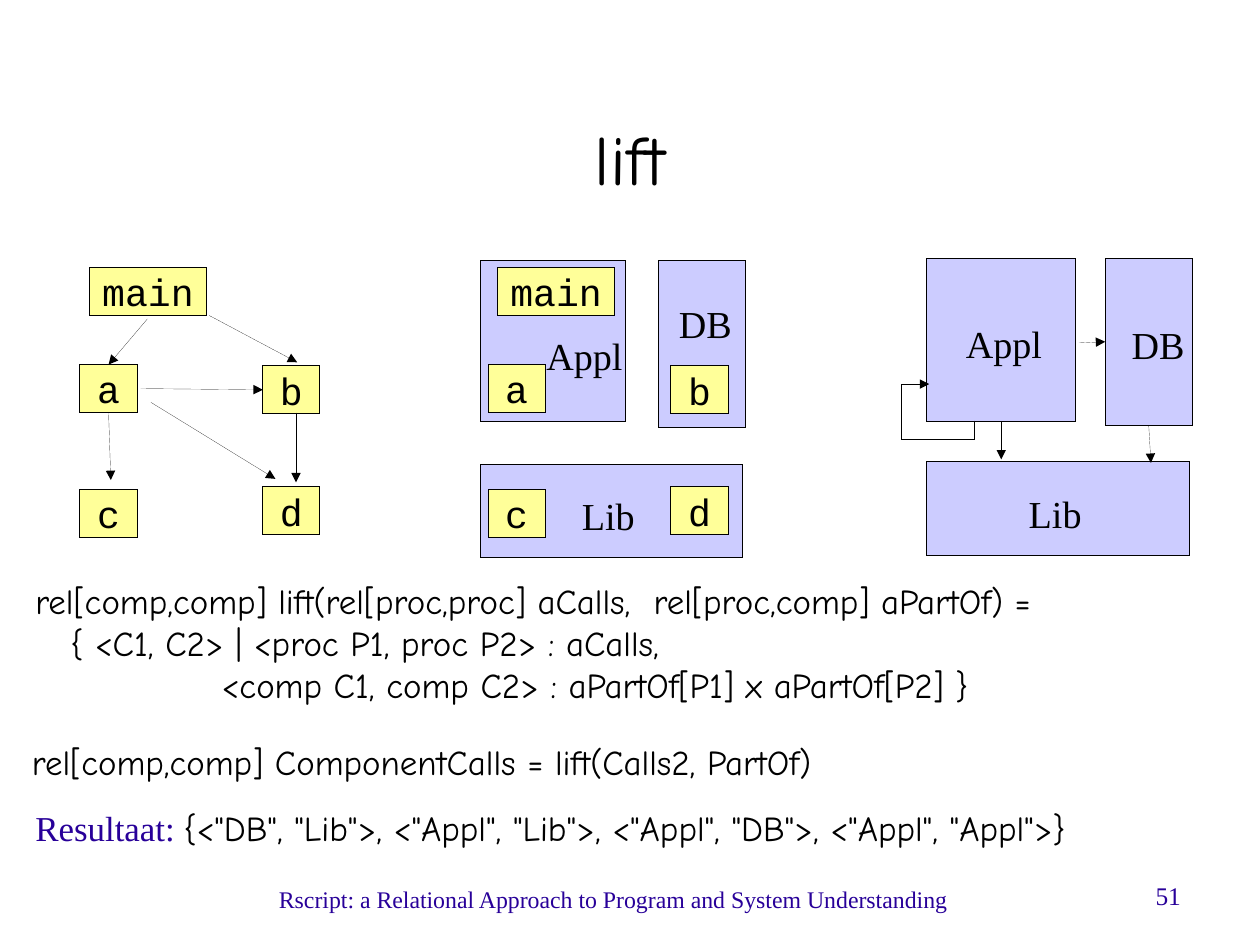
from dataclasses import dataclass
from typing import Optional

from pptx import Presentation
from pptx.dml.color import RGBColor
from pptx.enum.shapes import MSO_CONNECTOR, MSO_SHAPE
from pptx.enum.text import MSO_ANCHOR as Anchor, PP_ALIGN as Align
from pptx.oxml.ns import qn
from pptx.oxml.xmlchemy import OxmlElement
from pptx.util import Cm, Inches, Pt

# Lengths are columns and rows of a square grid, ten cells to the inch
CELL = 0.1
SLIDE_WIDTH, SLIDE_HEIGHT = Cm(28), Cm(21)
COLOURS = {"ink": "000000", "accent": "280099", "procedure": "FFFF99", "component": "CCCCFF"}
SANS, MONO, SERIF = "Comic Neue", "Courier New", "Times New Roman"
TOP, LEFT, BOTTOM = 0, 1, 2


@dataclass
class Run:
    text: str
    size: float
    font: str
    colour: str = "ink"


@dataclass
class Box:
    name: str
    column: float
    row: float
    width: float
    height: float


@dataclass
class Label:
    column: float
    row: float
    width: float
    height: float
    paragraphs: list[list[Run]]
    align: Align = Align.LEFT
    anchor: Anchor = Anchor.TOP


@dataclass
class Arrow:
    begin: tuple[float, float]
    end: tuple[float, float]
    begin_side: Optional[tuple[str, int]] = None
    end_side: Optional[tuple[str, int]] = None


def grid(cells: float) -> int:
    return Inches(cells * CELL)


def colour(name: str) -> RGBColor:
    return RGBColor.from_string(COLOURS[name])


def write(shape, paragraphs: list[list[Run]], align: Align, anchor: Anchor) -> None:
    frame = shape.text_frame
    frame.word_wrap = True
    frame.vertical_anchor = anchor
    frame.margin_left = frame.margin_right = frame.margin_top = frame.margin_bottom = 0
    for index, runs in enumerate(paragraphs):
        paragraph = frame.add_paragraph() if index else frame.paragraphs[0]
        paragraph.alignment = align
        for item in runs:
            run = paragraph.add_run()
            run.text = item.text
            run.font.size = Pt(item.size)
            run.font.name = item.font
            run.font.color.rgb = colour(item.colour)


def outline(shape, arrowhead: bool = False) -> None:
    # Without the theme style, a zero width gives a hairline
    shape._element.remove(shape._element.find(qn("p:style")))
    shape.line.color.rgb = colour("ink")
    shape.line.width = Pt(0)
    if arrowhead:
        tail = OxmlElement("a:tailEnd")
        tail.set("type", "triangle")
        shape._element.spPr.find(qn("a:ln")).append(tail)


def draw_label(slide, label: Label) -> None:
    shape = slide.shapes.add_textbox(*map(grid, (label.column, label.row, label.width, label.height)))
    write(shape, label.paragraphs, label.align, label.anchor)


def draw_boxes(slide, boxes: list[Box], left: float, top: float, fill: str, named: bool) -> dict:
    drawn = {}
    for box in boxes:
        place = map(grid, (left + box.column, top + box.row, box.width, box.height))
        shape = slide.shapes.add_shape(MSO_SHAPE.RECTANGLE, *place)
        shape.shadow.inherit = False
        shape.fill.solid()
        shape.fill.fore_color.rgb = colour(fill)
        outline(shape)
        if named:
            write(shape, [[Run(box.name, 24, MONO)]], Align.CENTER, Anchor.MIDDLE)
        drawn[box.name] = shape
    return drawn


def draw_arrows(slide, arrows: list[Arrow], boxes: dict) -> None:
    for arrow in arrows:
        connector = slide.shapes.add_connector(
            MSO_CONNECTOR.STRAIGHT, *map(grid, arrow.begin + arrow.end))
        outline(connector, arrowhead=True)
        connector._element.spPr.append(OxmlElement("a:effectLst"))
        if arrow.begin_side:
            name, side = arrow.begin_side
            connector.begin_connect(boxes[name], side)
        if arrow.end_side:
            name, side = arrow.end_side
            connector.end_connect(boxes[name], side)


def draw_loop(slide, points: list[tuple[float, float]]) -> None:
    corners = [(grid(column), grid(row)) for column, row in points]
    builder = slide.shapes.build_freeform(*corners[0])
    builder.add_line_segments(corners[1:], close=False)
    loop = builder.convert_to_shape()
    loop.shadow.inherit = False
    loop.fill.background()
    outline(loop, arrowhead=True)


def component_label(name: str, column: float, row: float) -> Label:
    return Label(column, row, 7.5, 4.6, [[Run(name, 24, SERIF)]])


# Boxes, placed relative to their panel
PROCEDURES = [
    Box("a", 0, 8.5, 5, 4.2),
    Box("b", 16, 8.6, 5, 4.2),
    Box("main", 0.8, 0, 10.3, 4.2),
    Box("c", 0, 19.4, 5, 4.2),
    Box("d", 16, 19.2, 5, 4.2),
]
COMPONENTS = [
    Box("DB", 15.6, 0, 7.6, 14.6),
    Box("Lib", 0, 17.8, 23, 8.2),
]
APPL_WITH_PARTS = Box("Appl", 0, 0, 12.7, 14.1)
APPL_LIFTED = Box("Appl", 0, 0, 13, 14.3)

# Arrows of the two call graphs
PROCEDURE_CALLS = [
    Arrow((9.7, 36.1), (9.7, 42), begin_side=("a", BOTTOM)),
    Arrow((25.9, 36.1), (25.9, 42.2)),
    Arrow((13.2, 35.2), (24.1, 41.9)),
    Arrow((12.9, 27.9), (9.5, 31.7), end_side=("a", TOP)),
    Arrow((12.3, 34), (22.9, 34), end_side=("b", LEFT)),
    Arrow((18.3, 27.6), (26, 31.7)),
]
COMPONENT_CALLS = [
    Arrow((87.5, 36.8), (87.6, 40.2), begin_side=("Appl", BOTTOM)),
    Arrow((100.7, 37.3), (100.7, 40.5), begin_side=("DB", BOTTOM)),
    Arrow((94.4, 30), (97, 30), end_side=("DB", LEFT)),
]
SELF_CALL = [(85.2, 36.8), (85.2, 38.4), (78.8, 38.4), (78.8, 33.6), (81.3, 33.6)]

COMPONENT_LABELS = [
    component_label(*place) for place in (
        ("Appl", 47.8, 29.1), ("DB", 59.4, 26.3), ("Lib", 50.9, 43.1),
        ("Appl", 84.5, 28), ("DB", 99, 28.1), ("Lib", 90, 42.9))
]
CODE = [
    "rel[comp,comp] lift(rel[proc,proc] aCalls,  rel[proc,comp] aPartOf) =",
    "   { <C1, C2> | <proc P1, proc P2> : aCalls,",
    "                <comp C1, comp C2> : aPartOf[P1] x aPartOf[P2] }",
]
TEXTS = [
    Label(101.1, 77, 9, 3.7, [[Run("51", 16, SERIF, "accent")]]),
    Label(24.4, 77.4, 62, 2.5, [[Run(
        "Rscript: a Relational Approach to Program and System Understanding", 15, SERIF, "accent")]]),
    Label(8.1, 6.9, 94.1, 13.8, [[Run("lift", 44, SANS)]], Align.CENTER, Anchor.MIDDLE),
    Label(3.1, 50.7, 106, 14.7, [[Run(line, 22, SANS)] for line in CODE]),
    Label(2.8, 64.8, 90.9, 4.3, [[Run(
        "rel[comp,comp] ComponentCalls = lift(Calls2, PartOf)", 22, SANS)]]),
    Label(3.1, 70.6, 105.9, 4.3, [[
        Run("Resultaat: ", 22, SERIF, "accent"),
        Run('{<"DB", "Lib">, <"Appl", "Lib">, <"Appl", "DB">, <"Appl", "Appl">}', 22, SANS)]]),
]


def main() -> None:
    presentation = Presentation()
    presentation.slide_width, presentation.slide_height = SLIDE_WIDTH, SLIDE_HEIGHT
    slide = presentation.slides.add_slide(presentation.slide_layouts[6])
    # Left: calls between procedures
    procedures = draw_boxes(slide, PROCEDURES, 7, 23.4, "procedure", named=True)
    draw_arrows(slide, PROCEDURE_CALLS, procedures)
    # Middle: procedures as parts of components
    draw_boxes(slide, [*COMPONENTS, APPL_WITH_PARTS], 42, 22.8, "component", named=False)
    draw_boxes(slide, PROCEDURES, 42.7, 23.4, "procedure", named=True)
    # Right: calls lifted to components
    components = draw_boxes(slide, [*COMPONENTS, APPL_LIFTED], 81.1, 22.6, "component", named=False)
    draw_arrows(slide, COMPONENT_CALLS, components)
    draw_loop(slide, SELF_CALL)
    # Component names, title, code and footer
    for label in COMPONENT_LABELS + TEXTS:
        draw_label(slide, label)
    presentation.save("out.pptx")


if __name__ == "__main__":
    main()
